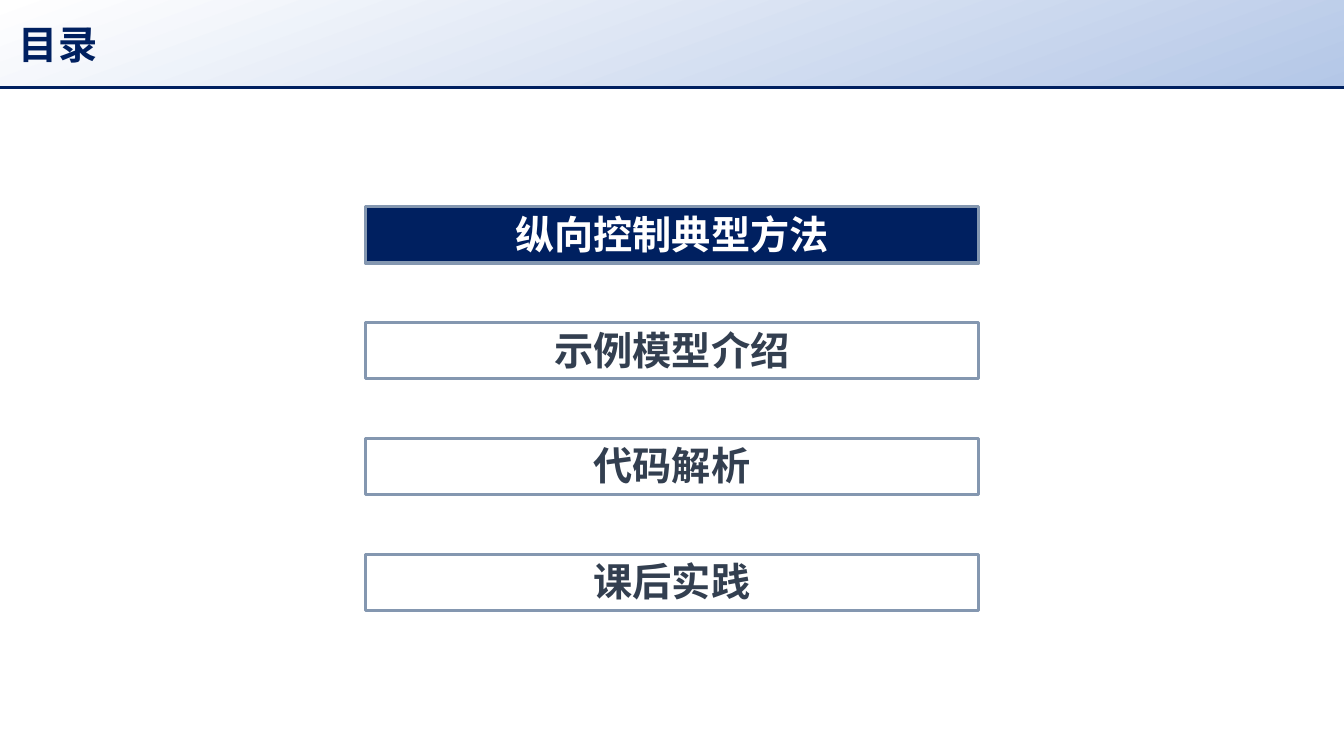
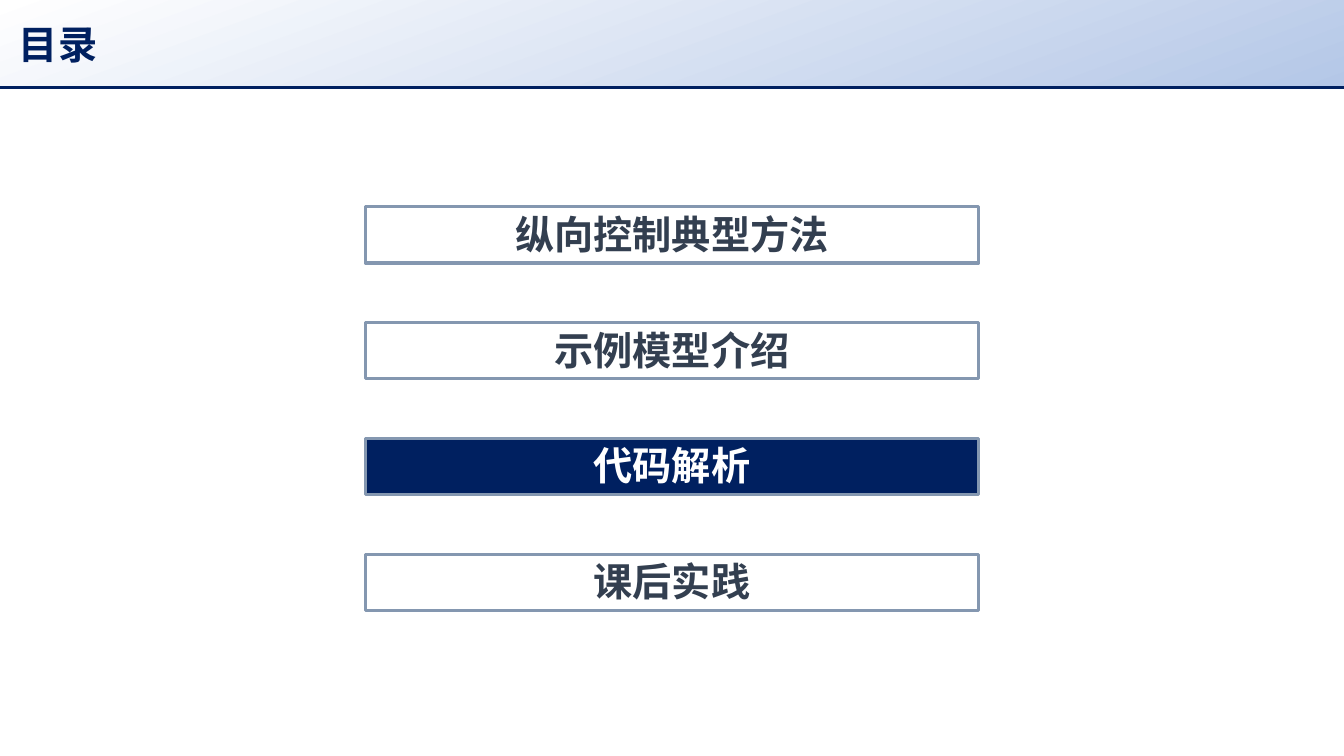
from lxml import etree
from pptx import Presentation
from pptx.dml.color import RGBColor
from pptx.enum import shapes, text
from pptx.oxml import ns
from pptx.util import Pt

FONT = "Noto Sans CJK SC"
NAVY, SLATE, STEEL, PALE, WHITE = "002060", "333F50", "8497B0", "B4C7E7", "FFFFFF"
SLIDE_W, SLIDE_H = 960, 540
BAND_H = 62.6
BOX_W, BOX_H = 438, 40.3
BOX_TOP, BOX_PITCH = 147.6, 82.8
LINE_W = 2.25

TITLE = "目录"
SECTIONS = ["纵向控制典型方法", "示例模型介绍", "代码解析", "课后实践"]
ACTIVE_SECTIONS = [0, 2]

FRAME = {"word_wrap": True, "vertical_anchor": text.MSO_ANCHOR.MIDDLE}
TITLE_FRAME = FRAME | {"margin_left": Pt(13.5)}
BOX_FRAME = FRAME | {"margin_top": Pt(3), "margin_bottom": Pt(5)}
FONT_FORMAT = {"name": FONT, "size": Pt(28), "bold": True}


def rgb(value):
    return RGBColor.from_string(value)


def set_attrs(target, values):
    for name, value in values.items():
        setattr(target, name, value)


def write_text(sp, content, color, align, frame):
    tf = sp.text_frame
    set_attrs(tf, frame)
    p = tf.paragraphs[0]
    p.alignment = align
    r = p.add_run()
    r.text = content
    set_attrs(r.font, FONT_FORMAT)
    r.font.color.rgb = rgb(color)
    ea = etree.SubElement(r._r.get_or_add_rPr(), ns.qn("a:ea"))
    ea.set("typeface", FONT)


def add_rect(s, left, top, width, height):
    sp = s.shapes.add_shape(
        shapes.MSO_SHAPE.RECTANGLE, Pt(left), Pt(top), Pt(width), Pt(height)
    )
    sp.shadow.inherit = False
    return sp


def set_line(line, color):
    line.color.rgb = rgb(color)
    line.width = Pt(LINE_W)


def add_rule(s, y, color):
    rule = s.shapes.add_connector(
        shapes.MSO_CONNECTOR.STRAIGHT, Pt(0), Pt(y), Pt(SLIDE_W), Pt(y)
    )
    set_line(rule.line, color)
    etree.SubElement(rule._element.spPr, ns.qn("a:effectLst"))


def add_title_band(s, title):
    band = add_rect(s, 0, 0, SLIDE_W, BAND_H)
    band.line.fill.background()
    band.fill.gradient()
    band.fill.gradient_angle = 290
    for stop, color in zip(band.fill.gradient_stops, (WHITE, PALE)):
        stop.color.rgb = rgb(color)
    write_text(band, title, NAVY, text.PP_ALIGN.LEFT, TITLE_FRAME)
    add_rule(s, BAND_H, NAVY)


def add_section_box(s, row, label, active):
    box = add_rect(
        s, (SLIDE_W - BOX_W) / 2, BOX_TOP + row * BOX_PITCH, BOX_W, BOX_H
    )
    fill, color = (NAVY, WHITE) if active else (WHITE, SLATE)
    box.fill.solid()
    box.fill.fore_color.rgb = rgb(fill)
    set_line(box.line, STEEL)
    write_text(box, label, color, text.PP_ALIGN.CENTER, BOX_FRAME)


def add_agenda(prs, active):
    s = prs.slides.add_slide(prs.slide_layouts[6])
    add_title_band(s, TITLE)
    for row, label in enumerate(SECTIONS):
        add_section_box(s, row, label, row == active)


def main():
    prs = Presentation()
    set_attrs(prs, {"slide_width": Pt(SLIDE_W), "slide_height": Pt(SLIDE_H)})
    for active in ACTIVE_SECTIONS:
        add_agenda(prs, active)
    prs.save("out.pptx")


if __name__ == "__main__":
    main()
